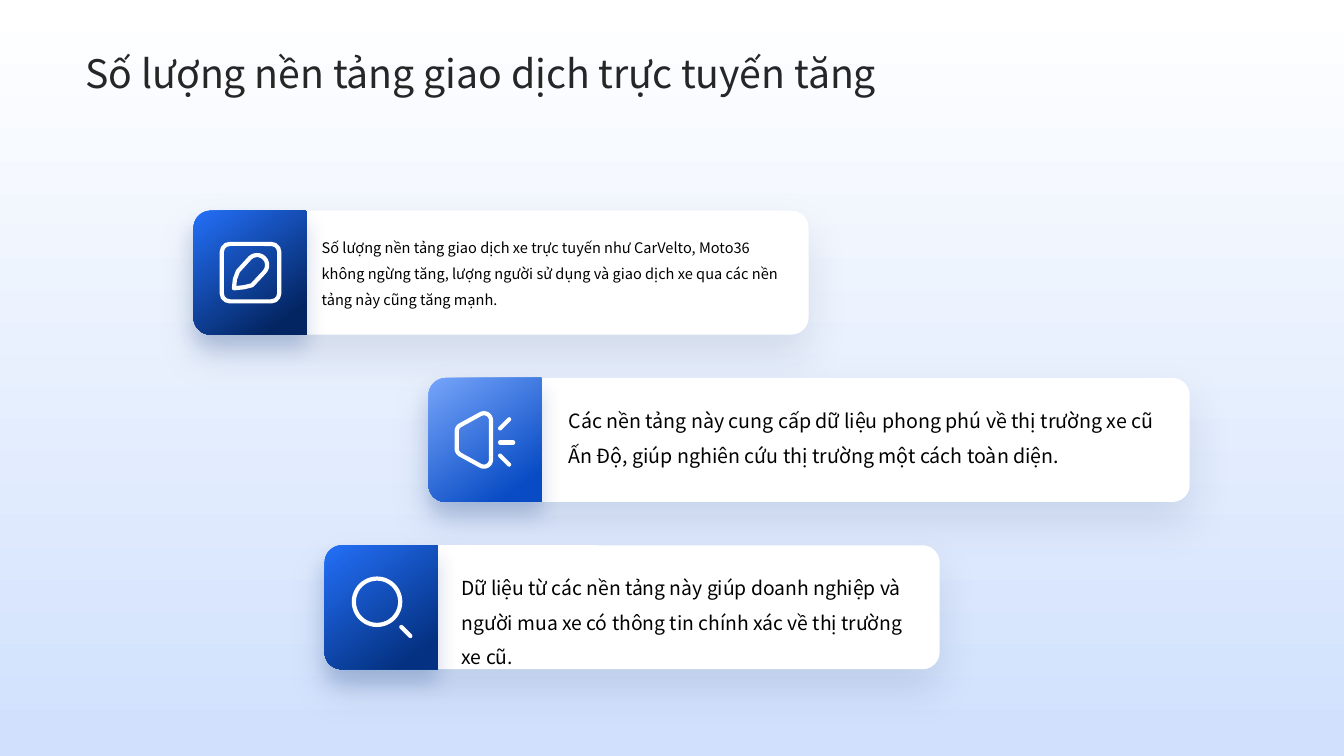
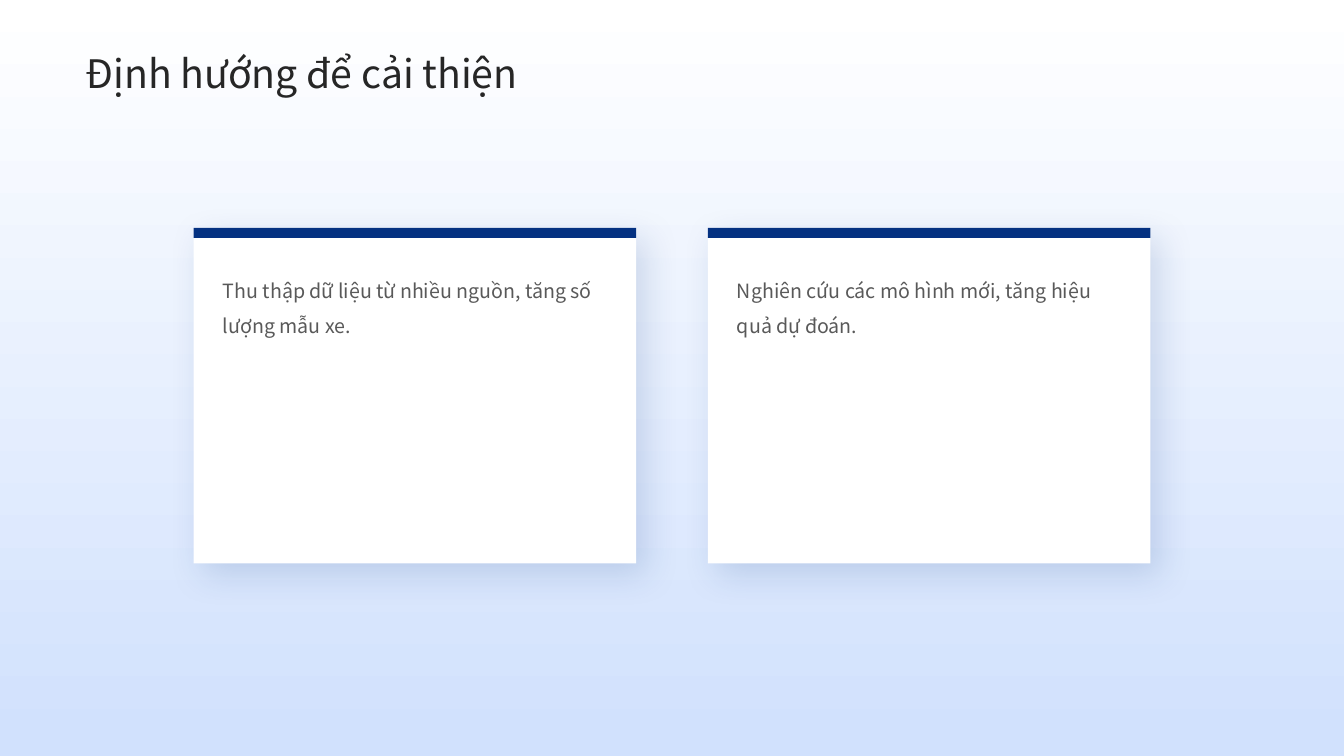
from math import cos, radians, sin

from lxml import etree
from pptx import Presentation
from pptx.dml.color import RGBColor
from pptx.enum import shapes, text
from pptx.oxml import ns
from pptx.util import Inches, Pt

FONT = "Noto Sans CJK SC"
WHITE, BLACK, NAVY = "FFFFFF", "000000", "043181"
TITLE_GRAY, BODY_GRAY = "262626", "595959"
CARD_SHADOW = ("021940", 10, 30, 15, 90)
TAB_SHADOW = ("053283", 20, 15, 10, 90)
PANEL_SHADOW = (NAVY, 15, 25, 10, 50)
SHAPE = shapes.MSO_SHAPE


def color(value):
    return RGBColor.from_string(value)


def arc(center_x, center_y, radius, start, end, steps=10):
    """Points along a circle; degrees run clockwise from the right."""
    angles = [radians(start + (end - start) * i / steps) for i in range(steps + 1)]
    return [(center_x + radius * cos(a), center_y + radius * sin(a)) for a in angles]


def shift(points, left, top):
    return [(left + x, top + y) for x, y in points]


def paint_gradient(fill, stops, angle):
    """Fill with (percent, colour) stops; the angle is clockwise."""
    fill.gradient()
    fill.gradient_angle = 360 - angle
    for stop, (percent, value) in zip(fill.gradient_stops, stops):
        stop.position = percent / 100
        stop.color.rgb = color(value)


def add_shadow(shape, value, opacity, blur, distance, angle):
    effects = shape._element.spPr.find(ns.qn("a:effectLst"))
    outer = etree.SubElement(effects, ns.qn("a:outerShdw"), {
        "blurRad": str(Pt(blur)), "dist": str(Pt(distance)),
        "dir": str(angle * 60000), "algn": "ctr", "rotWithShape": "0"})
    tint = etree.SubElement(outer, ns.qn("a:srgbClr"), val=value)
    etree.SubElement(tint, ns.qn("a:alpha"), val=str(opacity * 1000))


class Deck:
    def __init__(self):
        self.deck = Presentation()
        self.deck.slide_width = Inches(13.33)
        self.deck.slide_height = Inches(7.5)
        self.page = None

    def new_page(self, title):
        self.page = self.deck.slides.add_slide(self.deck.slide_layouts[6])
        paint_gradient(self.page.background.fill, [(0, WHITE), (98, "D1E1FD")], 90)
        self.text(title, 0.85, 0.44, 11.67, 0.51, 28, TITLE_GRAY,
                  spacing=1.1, anchor=text.MSO_ANCHOR.MIDDLE)

    def text(self, words, left, top, width, height, size, value,
             spacing=1.5, anchor=text.MSO_ANCHOR.TOP, insets=(0, 0)):
        box = self.page.shapes.add_textbox(
            Inches(left), Inches(top), Inches(width), Inches(height))
        frame = box.text_frame
        frame.word_wrap = True
        frame.vertical_anchor = anchor
        frame.margin_left = frame.margin_right = Inches(insets[0])
        frame.margin_top = frame.margin_bottom = Inches(insets[1])
        para = frame.paragraphs[0]
        para.line_spacing = spacing
        span = para.add_run()
        span.text = words
        span.font.name = FONT
        span.font.size = Pt(size)
        span.font.color.rgb = color(value)

    def shape(self, kind, left, top, width, height, fill=None, shadow=None):
        shape = self.page.shapes.add_shape(
            kind, Inches(left), Inches(top), Inches(width), Inches(height))
        return self.finish(shape, fill, shadow)

    def outline(self, points, shadow=None):
        """Closed polygon through points given in inches."""
        (x, y), *rest = [(Inches(x), Inches(y)) for x, y in points]
        builder = self.page.shapes.build_freeform(x, y)
        builder.add_line_segments(rest, close=True)
        return self.finish(builder.convert_to_shape(), None, shadow)

    def finish(self, shape, fill, shadow):
        shape.shadow.inherit = False
        shape.line.fill.background()
        if fill:
            shape.fill.solid()
            shape.fill.fore_color.rgb = color(fill)
        else:
            shape.fill.background()
        if shadow:
            add_shadow(shape, *shadow)
        return shape

    def stroke(self, shape):
        """White rounded line used by every icon."""
        shape.line.color.rgb = color(WHITE)
        shape.line.width = Pt(3)
        line = shape._element.spPr.find(ns.qn("a:ln"))
        line.set("cap", "rnd")
        etree.SubElement(line, ns.qn("a:round"))

    def ray(self, start, end):
        connector = self.page.shapes.add_connector(
            shapes.MSO_CONNECTOR.STRAIGHT, *[Inches(n) for n in (*start, *end)])
        self.stroke(connector)
        etree.SubElement(connector._element.spPr, ns.qn("a:effectLst"))

    def card(self, left, top, width, stops, icon):
        """White rounded card with a gradient icon tab on its left."""
        height, tab_width, radius = 1.23, 1.12, 0.17
        body = self.shape(SHAPE.ROUNDED_RECTANGLE, left, top, width, height,
                          WHITE, CARD_SHADOW)
        body.adjustments[0] = radius / height
        corners = [(tab_width, 0), (tab_width, height),
                   *arc(radius, height - radius, radius, 90, 180),
                   *arc(radius, radius, radius, 180, 270)]
        tab = self.outline(shift(corners, left, top), TAB_SHADOW)
        paint_gradient(tab.fill, stops, 54)
        icon(self, left, top)

    def panel(self, left, top, words):
        width = 4.39
        self.shape(SHAPE.RECTANGLE, left, top, width, 3.33, WHITE, PANEL_SHADOW)
        self.shape(SHAPE.RECTANGLE, left, top, width, 0.1, NAVY)
        self.text(words, left + 0.29, top + 0.39, 3.8, 2.61, 14, BODY_GRAY)


def pencil_icon(deck, left, top):
    frame = deck.shape(SHAPE.ROUNDED_RECTANGLE, left + 0.28, top + 0.33, 0.57, 0.57)
    frame.adjustments[0] = 0.14
    deck.stroke(frame)
    pencil = [(0.4, 0.77), (0.41, 0.68), (0.44, 0.6),
              *arc(0.63, 0.54, 0.1, 225, 405), (0.58, 0.74), (0.5, 0.76)]
    deck.stroke(deck.outline(shift(pencil, left, top)))


def megaphone_icon(deck, left, top):
    horn = [*arc(0.55, 0.42, 0.07, 0, -120), *arc(0.35, 0.53, 0.07, 240, 180),
            *arc(0.35, 0.7, 0.07, 180, 120), *arc(0.55, 0.81, 0.07, 120, 0)]
    deck.stroke(deck.outline(shift(horn, left, top)))
    for ray in ([(0.71, 0.5), (0.8, 0.41)], [(0.71, 0.64), (0.84, 0.64)],
                [(0.71, 0.77), (0.8, 0.86)]):
        deck.ray(*shift(ray, left, top))


def magnifier_icon(deck, left, top):
    deck.stroke(deck.shape(SHAPE.OVAL, left + 0.29, top + 0.33, 0.46, 0.46))
    deck.ray(*shift([(0.76, 0.81), (0.85, 0.9)], left, top))


def main():
    deck = Deck()

    deck.new_page("Số lượng nền tảng giao dịch trực tuyến tăng")
    # left, width, tab colours, icon, text offset, text width, text size, words
    cards = [
        (1.92, 6.1, ("2470F8", "032561"), pencil_icon, 1.2, 4.72, 10.4,
         "Số lượng nền tảng giao dịch xe trực tuyến như CarVelto, Moto36 "
         "không ngừng tăng, lượng người sử dụng và giao dịch xe qua các nền "
         "tảng này cũng tăng mạnh."),
        (4.25, 7.55, ("76A5FA", "084BC4"), megaphone_icon, 1.32, 6.03, 14,
         "Các nền tảng này cung cấp dữ liệu phong phú về thị trường xe cũ "
         "Ấn Độ, giúp nghiên cứu thị trường một cách toàn diện."),
        (3.22, 6.1, ("2470F8", NAVY), magnifier_icon, 1.29, 4.6, 13.8,
         "Dữ liệu từ các nền tảng này giúp doanh nghiệp và người mua xe có "
         "thông tin chính xác về thị trường xe cũ."),
    ]
    for row, (left, width, (light, dark), icon, offset, text_width, size,
              words) in enumerate(cards):
        top = 2.09 + row * 1.66
        deck.card(left, top, width, [(0, light), (86, dark)], icon)
        deck.text(words, left + offset, top + 0.15, text_width, 0.93, size, BLACK,
                  insets=(0.07, 0.04))

    deck.new_page("Định hướng để cải thiện")
    directions = [
        "Thu thập dữ liệu từ nhiều nguồn, tăng số lượng mẫu xe.",
        "Nghiên cứu các mô hình mới, tăng hiệu quả dự đoán.",
    ]
    for column, words in enumerate(directions):
        deck.panel(1.92 + column * 5.1, 2.26, words)

    deck.deck.save("out.pptx")


if __name__ == "__main__":
    main()
